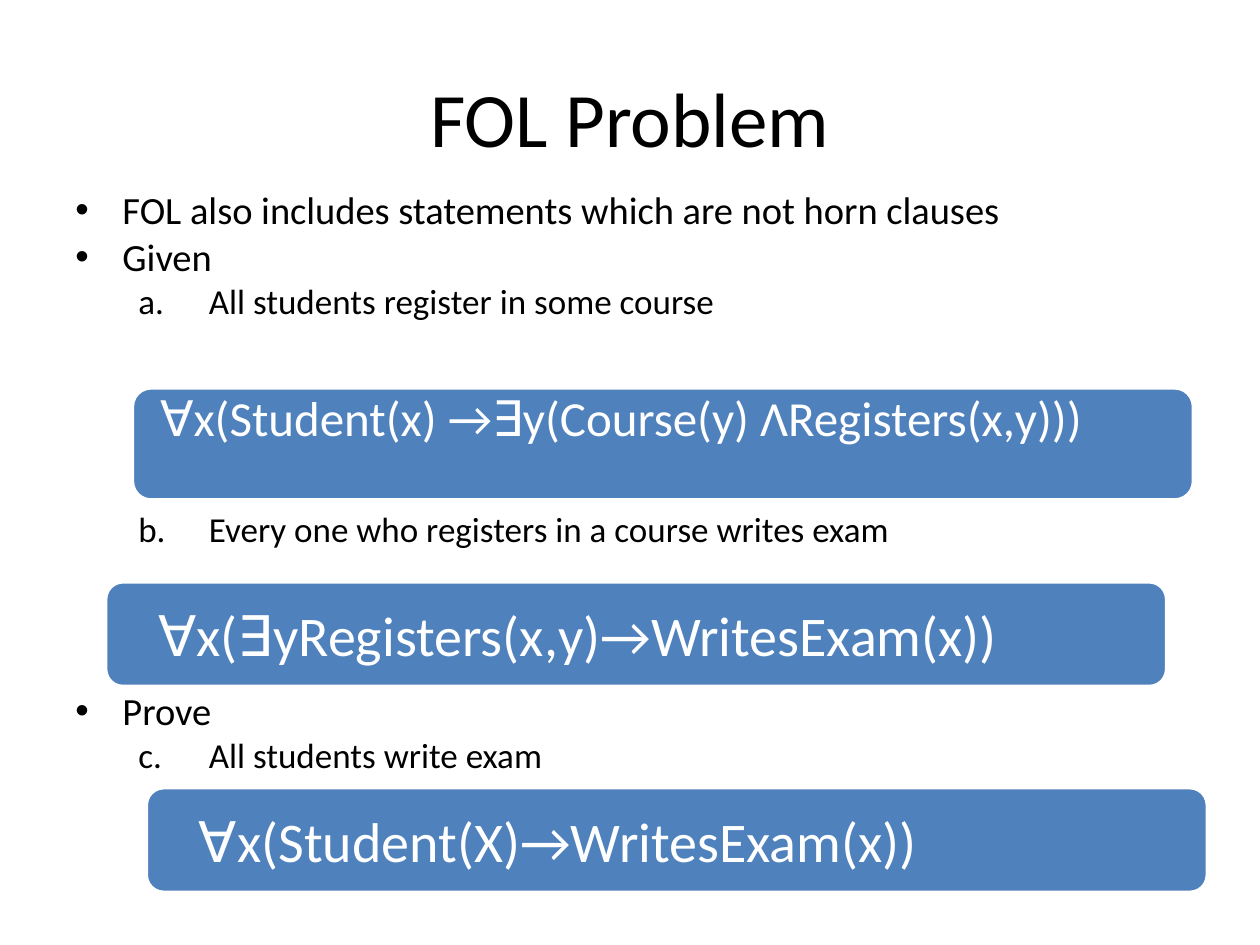
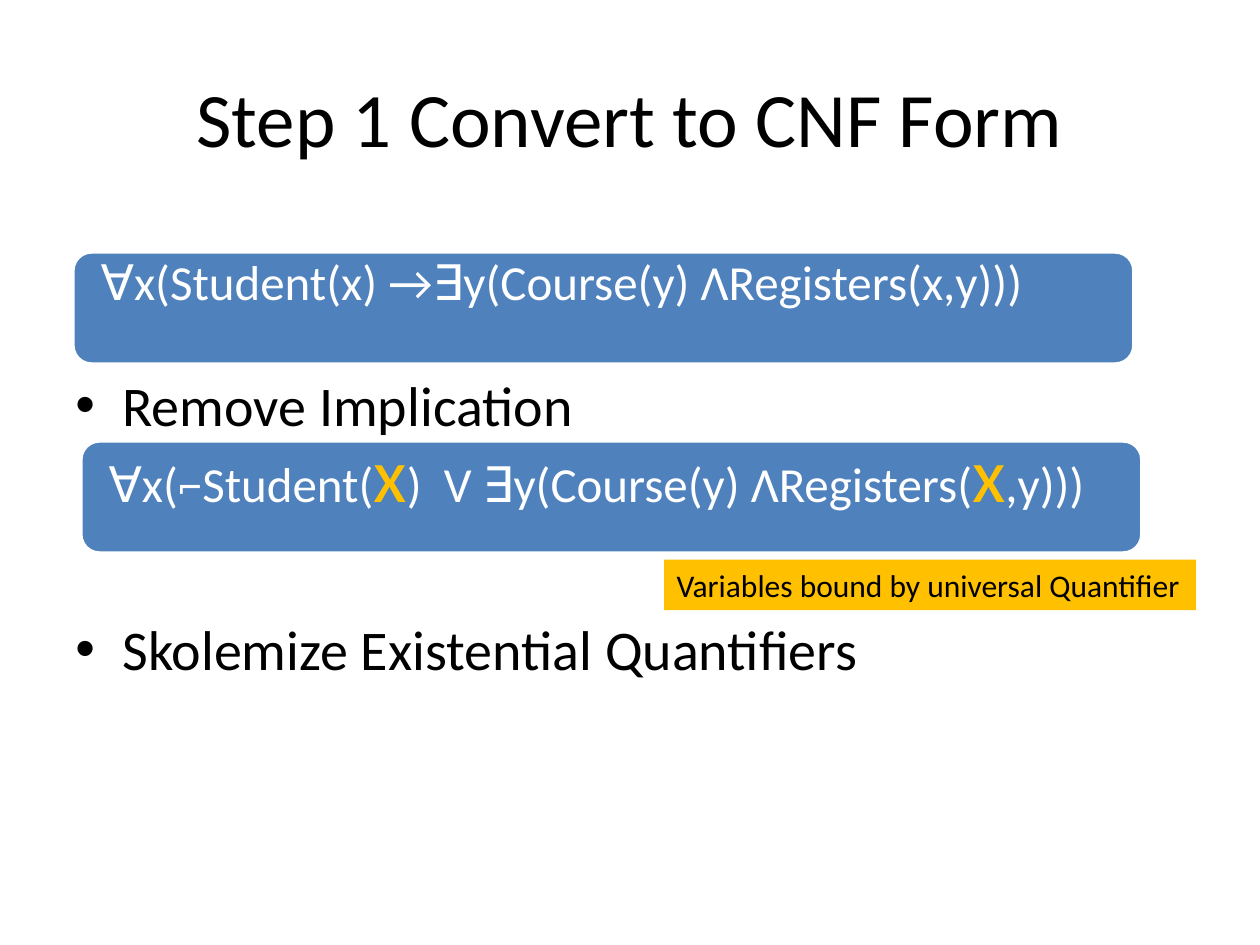
from lxml.etree import SubElement
from pptx import Presentation
from pptx.dml.color import RGBColor
from pptx.enum.shapes import MSO_SHAPE as Shape
from pptx.enum.text import MSO_ANCHOR as Anchor, PP_ALIGN as Align
from pptx.oxml.ns import qn
from pptx.util import Cm, Pt

COLORS = {"ink": "000000", "bar": "4F81BD", "paper": "FFFFFF", "accent": "FFC000"}
FONT = "Calibri"
BAR_WIDTH = 21.39
LARGE_BAR = {"height": 2.26, "indent": 0.56, "size": 28}
SMALL_BAR = {"height": 2.11, "indent": 1.06, "size": 32, "drop": 0.38}
STUDENT_RULE = "∀x(Student(x) →∃y(Course(y) ΛRegisters(x,y)))"


def rgb(name):
    return RGBColor.from_string(COLORS[name])


def style(run, size, color="ink"):
    run.font.name = FONT
    run.font.size = Pt(size)
    run.font.color.rgb = rgb(color)


def add_textbox(slide, box, insets=(0.25, 0.13), wrap=True):
    frame = slide.shapes.add_textbox(*map(Cm, box)).text_frame
    frame.word_wrap = wrap
    frame.margin_left = frame.margin_right = Cm(insets[0])
    frame.margin_top = frame.margin_bottom = Cm(insets[1])
    return frame


def add_block(slide, kind, box, fill):
    block = slide.shapes.add_shape(kind, *map(Cm, box))
    block.shadow.inherit = False
    block.fill.solid()
    block.fill.fore_color.rgb = rgb(fill)
    return block


def add_title(slide, title):
    frame = add_textbox(slide, (1.27, 0.76, 22.86, 3.18))
    frame.vertical_anchor = Anchor.MIDDLE
    frame.text = title
    heading = frame.paragraphs[0]
    heading.alignment = Align.CENTER
    style(heading.runs[0], 44)


def add_marker(paragraph, letter_number):
    left, hanging = (2.69, 1.42) if letter_number else (0.95, 0.95)
    properties = paragraph._p.get_or_add_pPr()
    properties.set("marL", str(Cm(left)))
    properties.set("indent", str(-Cm(hanging)))
    if letter_number:
        properties.set("lvl", "1")
        SubElement(properties, qn("a:buFont"), typeface=FONT)
        SubElement(properties, qn("a:buAutoNum"), type="alphaLcPeriod",
                   startAt=str(letter_number))
    else:
        SubElement(properties, qn("a:buFont"), typeface="Arial")
        SubElement(properties, qn("a:buChar"), char="•")


def add_outline(slide, box, points, line_spacing=1.0):
    frame = add_textbox(slide, box)
    for index, (text, size, gap, letter_number) in enumerate(points):
        paragraph = frame.add_paragraph() if index else frame.paragraphs[0]
        paragraph.text = text
        add_marker(paragraph, letter_number)
        paragraph.line_spacing = line_spacing
        paragraph.space_before = Pt(gap)
        style(paragraph.runs[0], size)


def add_formula(slide, left, top, parts, height, indent, size, drop=0):
    bar = add_block(slide, Shape.ROUNDED_RECTANGLE, (left, top, BAR_WIDTH, height), "bar")
    bar.line.color.rgb = rgb("paper")
    bar.line.width = Pt(2)
    frame = add_textbox(slide, (left + indent, top + drop, BAR_WIDTH - indent, height - drop),
                        insets=(0, 0))
    for text, highlighted in parts:
        run = frame.paragraphs[0].add_run()
        run.text = text
        style(run, 44 if highlighted else size, "accent" if highlighted else "paper")


def add_note(slide, box, text):
    note = add_block(slide, Shape.RECTANGLE, box, "accent")
    note.line.fill.background()
    frame = note.text_frame
    frame.word_wrap = False
    frame.vertical_anchor = Anchor.TOP
    frame.text = text
    frame.paragraphs[0].alignment = Align.LEFT
    style(frame.paragraphs[0].runs[0], 18)


def build_problem(slide):
    add_title(slide, "FOL Problem")
    add_outline(slide, (1.27, 3.81, 22.86, 13.21), [
        ("FOL also includes statements which are not horn clauses", 22, 0, None),
        ("Given", 22, 5.5, None),
        ("All students register in some course", 20, 5, 1),
        ("Every one who registers in a course writes exam", 20, 111, 2),
        ("Prove", 22, 84, None),
        ("All students write exam", 20, 5, 3),
    ], line_spacing=0.8)
    add_formula(slide, 2.67, 7.82, [(STUDENT_RULE, False)], **LARGE_BAR)
    add_formula(slide, 2.13, 11.73, [("∀x(∃yRegisters(x,y)→WritesExam(x))", False)], **SMALL_BAR)
    add_formula(slide, 2.95, 15.88, [("∀x(Student(X)→WritesExam(x))", False)], **SMALL_BAR)


def build_conversion(slide):
    add_title(slide, "Step 1 Convert to CNF Form")
    add_outline(slide, (1.27, 7.34, 22.86, 9.68), [
        ("Remove Implication", 32, 0, None),
        ("Skolemize Existential Quantifiers", 32, 101, None),
    ])
    add_formula(slide, 1.47, 5.08, [(STUDENT_RULE, False)], **LARGE_BAR)
    add_formula(slide, 1.63, 8.89, [
        ("∀x(⌐Student(", False),
        ("x", True),
        (")  V ∃y(Course(y) ΛRegisters(", False),
        ("x", True),
        (",y)))", False),
    ], drop=-0.32, **LARGE_BAR)
    add_note(slide, (13.39, 11.28, 10.72, 1.02), "Variables bound by universal Quantifier")


def main():
    deck = Presentation()
    deck.slide_width, deck.slide_height = Cm(25.4), Cm(19.05)
    for build in (build_problem, build_conversion):
        build(deck.slides.add_slide(deck.slide_layouts[6]))
    deck.save("out.pptx")


if __name__ == "__main__":
    main()
